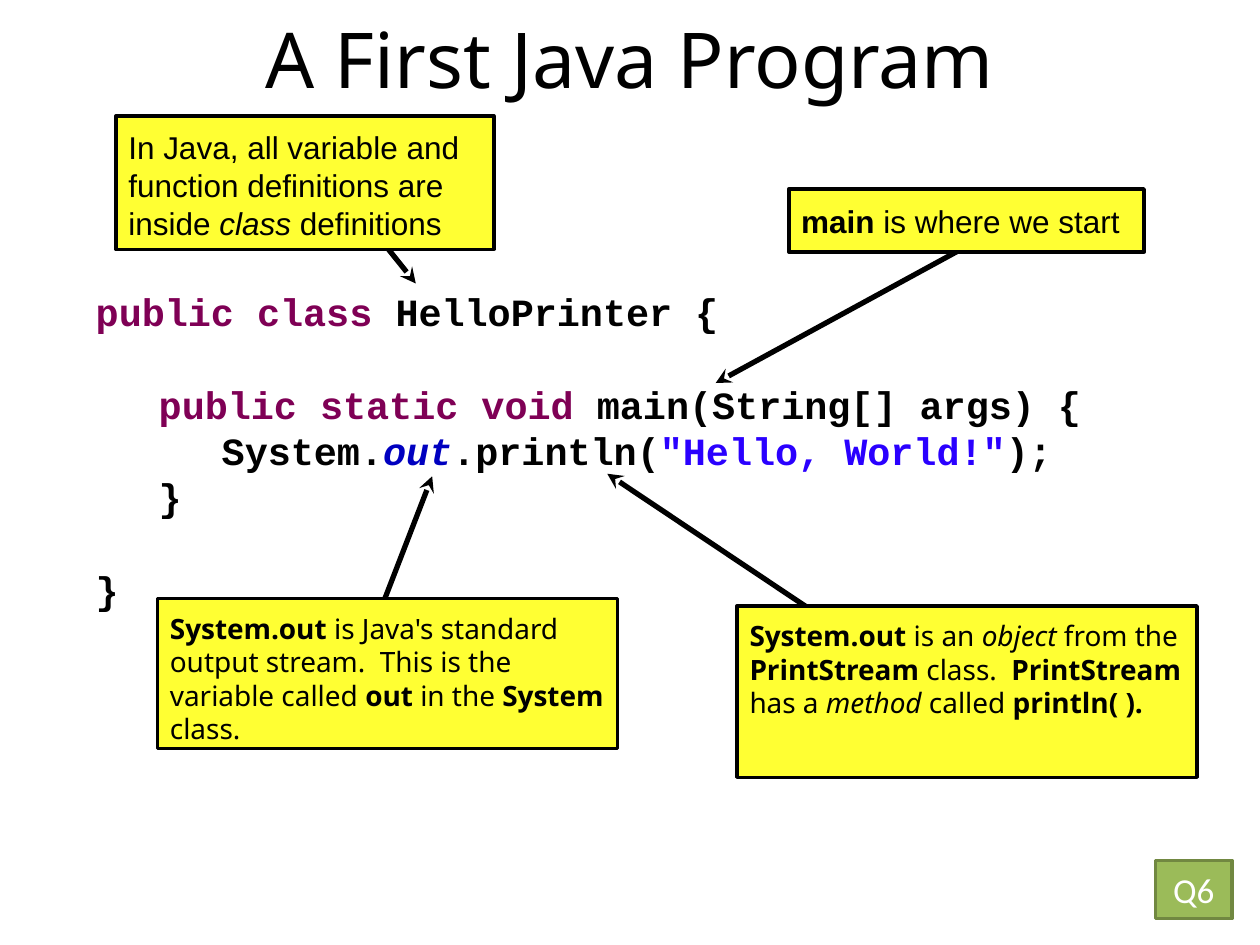
from lxml.etree import SubElement
from pptx import Presentation
from pptx.dml.color import RGBColor
from pptx.enum.shapes import MSO_CONNECTOR, MSO_SHAPE
from pptx.enum.text import MSO_ANCHOR, PP_ALIGN
from pptx.oxml.ns import qn
from pptx.util import Emu, Pt

PX = 9144
BOLD = {"bold": True}
ITALIC = {"italic": True}
KEYWORD = {"color": "7F0055"}


def px(*values):
    return [Emu(v * PX) for v in values]


def rgb(value):
    return RGBColor.from_string(value)


def add_run(p, text, font="Noto Sans", size=16, color="000000", bold=False, italic=False):
    r = p.add_run()
    r.text = text
    f = r.font
    f.name, f.size, f.bold, f.italic = font, Pt(size), bold, italic
    f.color.rgb = rgb(color)


class Deck:
    ink = "000000"
    note_fill = "FFFF33"
    leading = 1.2

    def __init__(self, width, height):
        self.prs = Presentation()
        self.prs.slide_width, self.prs.slide_height = px(width, height)
        self.s = self.prs.slides.add_slide(self.prs.slide_layouts[5])

    def frame(self, sp, inset, anchor):
        tf = sp.text_frame
        tf.word_wrap = True
        tf.vertical_anchor = anchor
        tf.margin_left, tf.margin_top, tf.margin_right, tf.margin_bottom = px(*inset)
        return tf

    def title(self, text, box):
        sp = self.s.shapes.title
        sp.left, sp.top, sp.width, sp.height = px(*box)
        p = self.frame(sp, [5] * 4, MSO_ANCHOR.MIDDLE).paragraphs[0]
        p.alignment = PP_ALIGN.CENTER
        add_run(p, text, size=44)

    def code(self, lines, box, size):
        sp = self.s.shapes.add_textbox(*px(*box))
        tf = self.frame(sp, (4, 8, 4, 4), MSO_ANCHOR.TOP)
        for i, (gap, runs) in enumerate(lines):
            p = tf.paragraphs[0] if i == 0 else tf.add_paragraph()
            p.line_spacing = Pt(size * self.leading)
            p.space_before = Pt(gap * size * self.leading)
            for text, fmt in runs:
                add_run(p, text, font="Courier New", size=size, bold=True, **fmt)

    def box(self, box, fill, line):
        sp = self.s.shapes.add_shape(MSO_SHAPE.RECTANGLE, *px(*box))
        sp.shadow.inherit = False
        sp.fill.solid()
        sp.fill.fore_color.rgb = rgb(fill)
        sp.line.color.rgb = rgb(line)
        sp.line.width = Pt(2)
        return sp

    def arrow(self, tip, tail):
        c = self.s.shapes.add_connector(MSO_CONNECTOR.STRAIGHT, *px(*tip, *tail))
        c.line.color.rgb = rgb(self.ink)
        c.line.width = Pt(3)
        SubElement(c.line._get_or_add_ln(), qn("a:headEnd"), type="stealth")
        SubElement(c._element.spPr, qn("a:effectLst"))

    def callout(self, box, tip, tail, runs, font, size):
        self.arrow(tip, tail)
        sp = self.box(box, self.note_fill, self.ink)
        p = self.frame(sp, [10] * 4, MSO_ANCHOR.TOP).paragraphs[0]
        p.alignment = PP_ALIGN.LEFT
        p.line_spacing = Pt(size * self.leading)
        for text, fmt in runs:
            add_run(p, text, font=font, size=size, **fmt)

    def badge(self, text, box):
        sp = self.box(box, "9BBB59", "718841")
        p = self.frame(sp, [0] * 4, MSO_ANCHOR.MIDDLE).paragraphs[0]
        p.alignment = PP_ALIGN.CENTER
        add_run(p, text, font="Calibri", size=20, color="FFFFFF")


CODE = [
    (0, [("public class", KEYWORD), (" HelloPrinter {", {})]),
    (1, [("\t", {}), ("public static void", KEYWORD), (" main(String[] args) {", {})]),
    (0, [("\t\tSystem.", {}), ("out", {"color": "0000C0", "italic": True}),
         (".println(", {}), ("\"Hello, World!\"", {"color": "2A00FF"}), (");", {})]),
    (0, [("\t}", {})]),
    (1, [("}", {})]),
]

CALLOUTS = [
    ((92, 92, 300, 106), (330, 225), (298, 185),
     [("In Java, all variable and function definitions are inside ", {}),
      ("class", ITALIC), (" definitions", {})], "Arial", 18),
    ((626, 150, 282, 50), (568, 304), (792, 182),
     [("main", BOLD), (" is where we start", {})], "Arial", 18),
    ((125, 475, 365, 119), (343, 378), (297, 497),
     [("System.out", BOLD),
      (" is Java's standard output stream.  This is the variable called ", {}),
      ("out", BOLD), (" in the ", {}), ("System", BOLD), (" class.", {})], "Noto Sans", 16),
    ((585, 481, 365, 136), (482, 376), (666, 499),
     [("System.out", BOLD), (" is an ", {}), ("object", ITALIC), (" from the ", {}),
      ("PrintStream", BOLD), (" class.  ", {}), ("PrintStream", BOLD), (" has a ", {}),
      ("method", ITALIC), (" called ", {}), ("println( ).", BOLD)], "Noto Sans", 16),
]


def main():
    deck = Deck(1000, 750)
    deck.title("A First Java Program", (50, -17, 900, 125))
    deck.code(CODE, (72, 221, 904, 286), 22)
    for callout in CALLOUTS:
        deck.callout(*callout)
    deck.badge("Q6", (917, 683, 61, 46))
    deck.prs.save("out.pptx")


if __name__ == "__main__":
    main()
